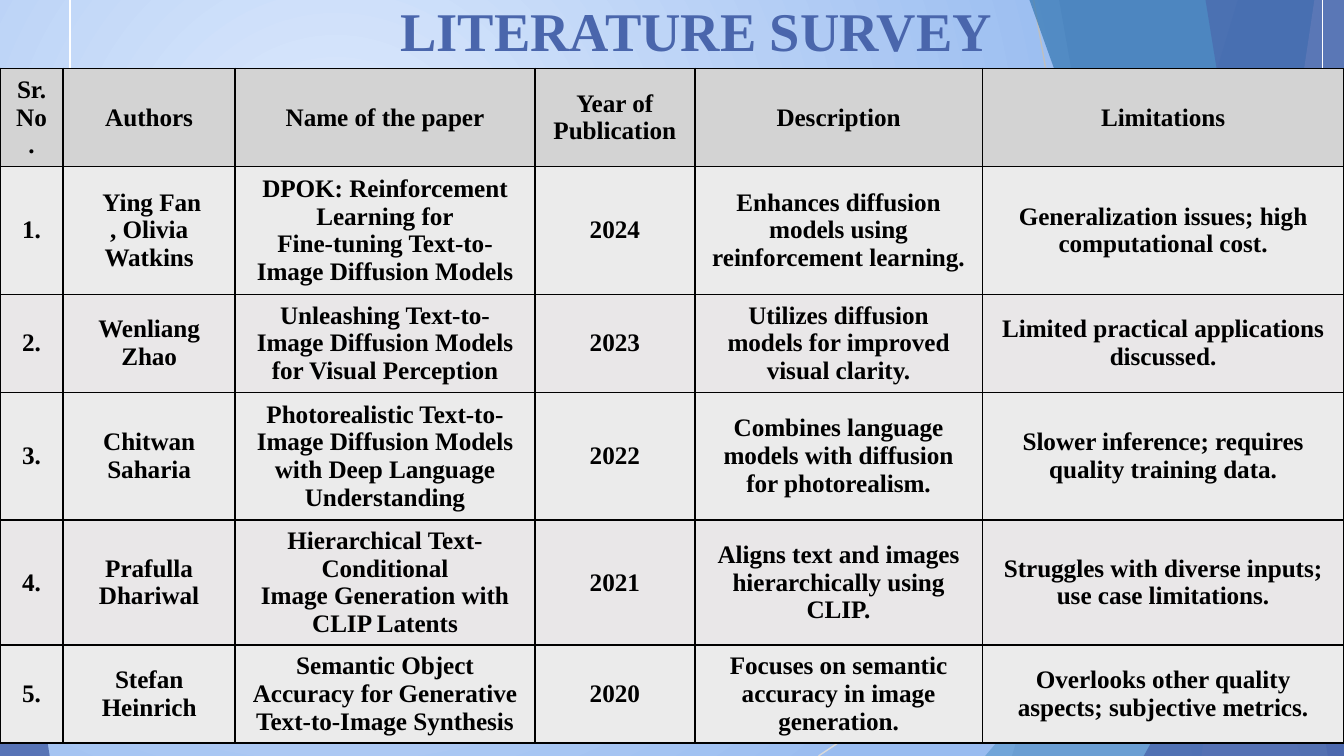
from lxml.etree import SubElement
from pptx import Presentation
from pptx.dml.color import RGBColor
from pptx.enum.shapes import MSO_CONNECTOR as Connector, MSO_SHAPE as Shape
from pptx.enum.text import MSO_ANCHOR as Anchor, PP_ALIGN as Align
from pptx.oxml.ns import qn
from pptx.util import Inches, Pt

WIDTH = 10
HEIGHT = WIDTH * 9 / 16
FONT = "Times New Roman"
COLORS = {
    "light": "DFEBFD", "sky": "99BCF0", "navy": "4A66AC", "blue": "629DD1",
    "deep": "3477B2", "lilac": "90A2CF", "white": "FFFFFF", "black": "000000",
    "silver": "BFBFBF", "mist": "D9D9D9",
    "header": "D3D3D3", "odd": "EBEBEB", "even": "E9E7E8",
}
TITLE = "LITERATURE SURVEY"
HEADERS = ["Sr. No.", "Authors", "Name of the paper", "Year of Publication",
           "Description", "Limitations"]
PAPERS = [
    ("1.", " Ying Fan\n, Olivia Watkins",
     "DPOK: Reinforcement Learning for\nFine-tuning Text-to-Image Diffusion Models", "2024",
     "Enhances diffusion models using reinforcement learning.",
     "Generalization issues; high computational cost."),
    ("2.", "Wenliang Zhao",
     "Unleashing Text-to-Image Diffusion Models for Visual Perception", "2023",
     "Utilizes diffusion models for improved visual clarity.",
     "Limited practical applications discussed."),
    ("3.", "Chitwan Saharia",
     "Photorealistic Text-to-Image Diffusion Models\nwith Deep Language Understanding", "2022",
     "Combines language models with diffusion for photorealism.",
     "Slower inference; requires quality training data."),
    ("4.", "Prafulla Dhariwal",
     "Hierarchical Text-Conditional\nImage Generation with CLIP Latents", "2021",
     "Aligns text and images hierarchically using CLIP.",
     "Struggles with diverse inputs; use case limitations."),
    ("5.", "Stefan Heinrich",
     "Semantic Object Accuracy for Generative\nText-to-Image Synthesis", "2020",
     "Focuses on semantic accuracy in image generation.",
     "Overlooks other quality aspects; subjective metrics."),
]
COLUMNS = [0.47, 1.28, 2.23, 1.19, 2.14, 2.69]
ROWS = [0.73, 0.95, 0.73, 0.95, 0.93, 0.73]
TABLE_TOP = 0.51

RAYS = [((7.69, 0), (8.69, HEIGHT), "silver"), ((WIDTH, 3.02), (6.09, HEIGHT), "mist")]
FACETS = [
    ("band", 9.21, 7.53, "navy", 30),
    ("band", 7.88, 8.87, "navy", 20),
    ("triangle", 7.33, 2.67, 3.12, 1, "blue", 72),
    ("band", 7.66, 9.68, "deep", 70),
    ("band", 9.78, 8.94, "lilac", 70),
    ("band", 8.97, 9.88, "navy", 65),
    ("triangle", 8.51, 1.49, 2.68, 1, "navy", 80),
    ("triangle", 0, 0.37, 2.33, 0, "navy", 85),
]


def color(name):
    return RGBColor.from_string(COLORS[name])


def paint_background(slide):
    fill = slide.background.fill
    fill.gradient()
    for stop, name in zip(fill.gradient_stops, ("light", "sky")):
        stop.color.rgb = color(name)
    linear = slide.element.find(".//" + qn("a:lin"))
    gradient = linear.getparent()
    gradient.remove(linear)
    circle = SubElement(gradient, qn("a:path"), path="circle")
    SubElement(circle, qn("a:fillToRect"), l="50000", t="50000", r="100000", b="100000")


def add_ray(slide, start, end, name):
    ray = slide.shapes.add_connector(Connector.STRAIGHT, *map(Inches, start + end))
    ray.line.color.rgb = color(name)
    ray.line.width = Pt(0.75)
    SubElement(ray._element.spPr, qn("a:effectLst"))


def add_band(slide, top_x, bottom_x):
    corners = [(top_x, 0), (WIDTH, 0), (WIDTH, HEIGHT), (bottom_x, HEIGHT)]
    start, *others = [(Inches(x), Inches(y)) for x, y in corners]
    builder = slide.shapes.build_freeform(*start)
    builder.add_line_segments(others, close=True)
    return builder.convert_to_shape()


def add_triangle(slide, left, width, height, apex):
    box = map(Inches, (left, HEIGHT - height, width, height))
    triangle = slide.shapes.add_shape(Shape.ISOSCELES_TRIANGLE, *box)
    triangle.adjustments[0] = apex
    return triangle


def add_facet(slide, kind, *details):
    *geometry, name, opacity = details
    shape = {"band": add_band, "triangle": add_triangle}[kind](slide, *geometry)
    shape.shadow.inherit = False
    shape.line.fill.background()
    shape.fill.solid()
    shape.fill.fore_color.rgb = color(name)
    tint = shape._element.spPr.find(qn("a:solidFill"))[0]
    SubElement(tint, qn("a:alpha"), val=str(opacity * 1000))


def write(frame, text, size, name):
    for index, line in enumerate(text.split("\n")):
        paragraph = frame.add_paragraph() if index else frame.paragraphs[0]
        paragraph.alignment = Align.CENTER
        run = paragraph.add_run()
        run.text = line
        run.font.name, run.font.size, run.font.bold = FONT, Pt(size), True
        run.font.color.rgb = color(name)


def add_title(slide):
    title = slide.shapes.add_textbox(*map(Inches, (0.52, -0.12, 9.32, 0.63)))
    title.line.color.rgb = color("white")
    title.line.width = Pt(0.75)
    frame = title.text_frame
    frame.word_wrap = True
    frame.vertical_anchor = Anchor.TOP
    frame.margin_top = frame.margin_bottom = Inches(0.1)
    write(frame, TITLE, 29.2, "navy")


def add_borders(cell):
    properties = cell._tc.get_or_add_tcPr()
    for index, side in enumerate(("lnL", "lnR", "lnT", "lnB")):
        border = properties.makeelement(qn("a:" + side), {"w": str(Pt(1))})
        fill = SubElement(border, qn("a:solidFill"))
        SubElement(fill, qn("a:srgbClr"), val=COLORS["black"])
        properties.insert(index, border)


def add_survey(slide):
    box = map(Inches, (0, TABLE_TOP, WIDTH, sum(ROWS)))
    table = slide.shapes.add_table(len(ROWS), len(COLUMNS), *box).table
    for column, width in zip(table.columns, COLUMNS):
        column.width = Inches(width)
    for index, (row, height, texts) in enumerate(zip(table.rows, ROWS, [HEADERS, *PAPERS])):
        row.height = Inches(height)
        shade = ("odd" if index % 2 else "even") if index else "header"
        for cell, text in zip(row.cells, texts):
            cell.vertical_anchor = Anchor.MIDDLE
            cell.margin_top = cell.margin_bottom = Inches(0.01)
            cell.fill.solid()
            cell.fill.fore_color.rgb = color(shade)
            add_borders(cell)
            write(cell.text_frame, text, 13.5, "black")


def main():
    presentation = Presentation()
    presentation.slide_width, presentation.slide_height = Inches(WIDTH), Inches(HEIGHT)
    slide = presentation.slides.add_slide(presentation.slide_layouts[6])
    paint_background(slide)
    for ray in RAYS:
        add_ray(slide, *ray)
    for facet in FACETS:
        add_facet(slide, *facet)
    add_title(slide)
    add_survey(slide)
    presentation.save("out.pptx")


if __name__ == "__main__":
    main()
